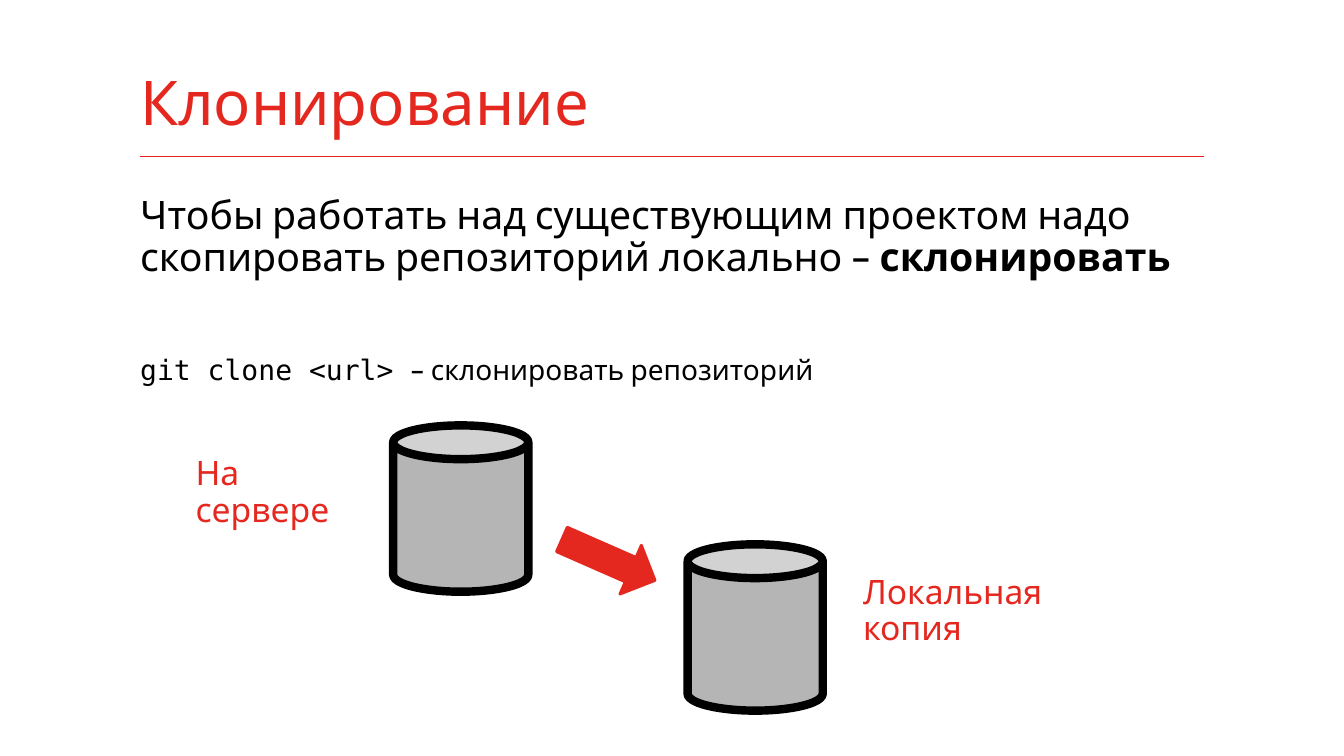
from dataclasses import dataclass

from lxml.etree import SubElement
from pptx import Presentation
from pptx.dml.color import RGBColor
from pptx.enum.shapes import MSO_CONNECTOR, MSO_SHAPE
from pptx.enum.text import MSO_ANCHOR as Anchor, MSO_AUTO_SIZE as AutoSize
from pptx.oxml.ns import qn
from pptx.slide import Slide
from pptx.util import Emu, Pt

EMU_PER_PX = 9144
COLORS = {"red": "E5281F", "rule": "E52319", "black": "000000", "gray": "B5B5B5"}
TEXT_FONT = "Cabin"
CODE_FONT = "DejaVu Sans Mono"


@dataclass(frozen=True)
class Box:
    left: int
    top: int
    width: int
    height: int


@dataclass(frozen=True)
class Run:
    text: str
    size: int
    color: str = "black"
    font: str = TEXT_FONT
    bold: bool = False


@dataclass(frozen=True)
class Figure:
    kind: MSO_SHAPE
    box: Box
    fill: str
    line: str
    line_width: int
    rotation: float = 0


FIGURES = [
    Figure(MSO_SHAPE.CAN, Box(390, 422, 134, 165), "gray", "black", 6),
    Figure(MSO_SHAPE.CAN, Box(682, 540, 134, 165), "gray", "black", 6),
    Figure(MSO_SHAPE.RIGHT_ARROW, Box(553, 529, 101, 53), "red", "red", 2, 23.7),
]
LABELS = [
    ("Локальная копия", Box(856, 598, 276, 50)),
    ("На сервере", Box(194, 480, 186, 50)),
]


def px(value: int) -> Emu:
    return Emu(value * EMU_PER_PX)


def place(box: Box) -> tuple[Emu, Emu, Emu, Emu]:
    return px(box.left), px(box.top), px(box.width), px(box.height)


def rgb(name: str) -> RGBColor:
    return RGBColor.from_string(COLORS[name])


def add_text(
    slide: Slide,
    box: Box,
    paragraphs: list[list[Run]],
    *,
    anchor: Anchor = Anchor.BOTTOM,
    insets: tuple[int, int, int, int] = (0, 5, 10, 5),
    auto_size: AutoSize = AutoSize.NONE,
    space_after: int = 0,
) -> None:
    frame = slide.shapes.add_textbox(*place(box)).text_frame
    frame.word_wrap = True
    frame.auto_size = auto_size
    frame.vertical_anchor = anchor
    frame.margin_left, frame.margin_top, frame.margin_right, frame.margin_bottom = map(px, insets)
    for index, runs in enumerate(paragraphs):
        paragraph = frame.add_paragraph() if index else frame.paragraphs[0]
        paragraph.line_spacing = 0.9
        paragraph.space_after = Pt(space_after)
        for item in runs:
            run = paragraph.add_run()
            run.text = item.text
            run.font.size = Pt(item.size)
            run.font.name = item.font
            run.font.bold = item.bold
            run.font.color.rgb = rgb(item.color)


def add_figure(slide: Slide, figure: Figure) -> None:
    shape = slide.shapes.add_shape(figure.kind, *place(figure.box))
    shape.shadow.inherit = False
    shape.rotation = figure.rotation
    shape.fill.solid()
    shape.fill.fore_color.rgb = rgb(figure.fill)
    shape.line.color.rgb = rgb(figure.line)
    shape.line.width = Pt(figure.line_width)


def add_rule(slide: Slide, left: int, right: int, top: int) -> None:
    rule = slide.shapes.add_connector(
        MSO_CONNECTOR.STRAIGHT, px(left), px(top), px(right), px(top)
    )
    rule.line.color.rgb = rgb("rule")
    rule.line.width = Pt(0.75)
    SubElement(rule._element.spPr, qn("a:effectLst"))


def main() -> None:
    presentation = Presentation()
    presentation.slide_width = px(1333)
    presentation.slide_height = px(750)
    slide = presentation.slides.add_slide(presentation.slide_layouts[6])

    add_rule(slide, 139, 1194, 155)
    add_text(
        slide,
        Box(139, 36, 1055, 118),
        [[Run("Клонирование", 44, "red")]],
        insets=(0, 5, 0, 16),
    )
    add_text(
        slide,
        Box(139, 194, 1055, 210),
        [
            [
                Run("Чтобы работать над существующим проектом надо скопировать репозиторий локально – ", 28),
                Run("склонировать", 28, bold=True),
            ],
            [
                Run("git clone <url> ", 20, font=CODE_FONT),
                Run("– склонировать репозиторий", 20),
            ],
        ],
        anchor=Anchor.TOP,
        insets=(0, 0, 0, 0),
        space_after=54,
    )
    for figure in FIGURES:
        add_figure(slide, figure)
    for text, box in LABELS:
        add_text(slide, box, [[Run(text, 24, "red")]], auto_size=AutoSize.SHAPE_TO_FIT_TEXT)

    presentation.save("out.pptx")


if __name__ == "__main__":
    main()
